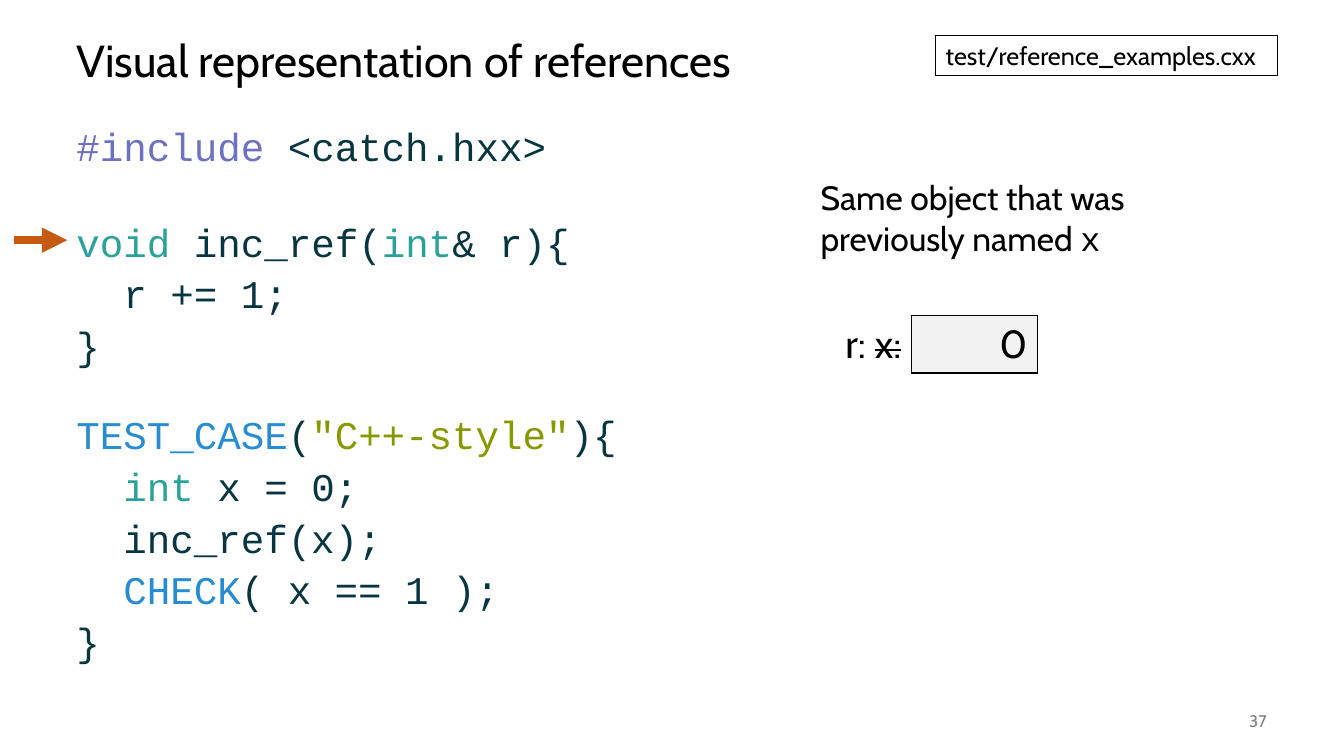
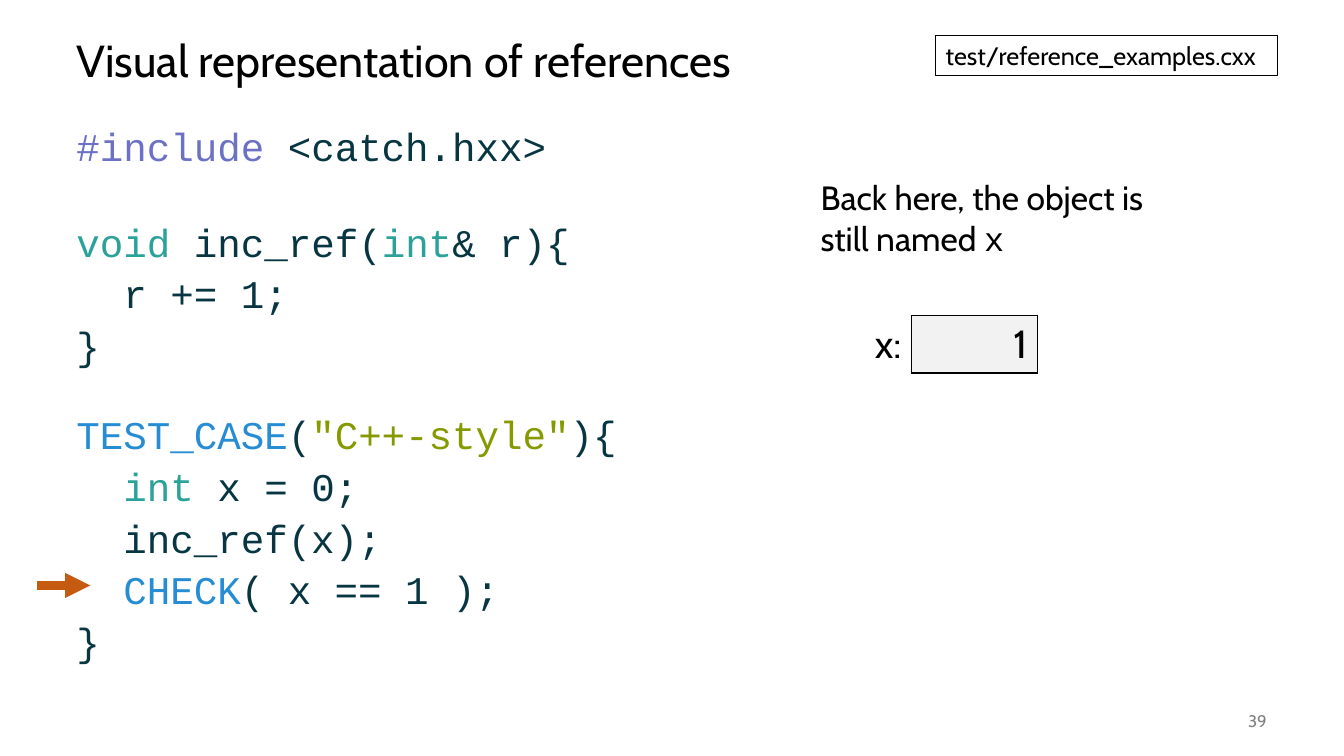
from dataclasses import dataclass

from lxml.etree import SubElement
from pptx import Presentation
from pptx.dml.color import RGBColor
from pptx.enum.shapes import MSO_CONNECTOR, MSO_SHAPE
from pptx.enum.text import MSO_ANCHOR, PP_ALIGN
from pptx.oxml.ns import qn
from pptx.util import Emu, Inches, Pt

COLUMNS, ROWS = 160, 90
BODY_FONT, CODE_FONT = "Cabin", "Courier New"
BLACK, GREY, CELL_GREY, ARROW = "000000", "808080", "F2F2F2", "C55A11"
INK, VIOLET, TEAL, BLUE, GREEN = "073642", "6D71C5", "2AA299", "268CD3", "869A00"


@dataclass(frozen=True)
class Box:
    left: float
    top: float
    width: float
    height: float


@dataclass(frozen=True)
class Span:
    text: str
    color: str = BLACK
    font: str = BODY_FONT
    strike: bool = False


@dataclass(frozen=True)
class Line:
    spans: tuple[Span, ...]
    before: float = 0


@dataclass(frozen=True)
class Step:
    number: int
    note: str
    names: tuple[Span, ...]
    value: str
    arrow_left: float
    arrow_top: float


TITLE = Box(7.92, 3, 144, 9)
CODE = Box(7.92, 15, 69, 66)
NUMBER = Box(140, 83.4, 12, 4.8)
VARIABLE = Box(93.5, 37.6, 30, 6.8)
NOTE = Box(96.5, 20.5, 42.1, 10.9)
FILE_LABEL = Box(111.4, 4.2, 40.7, 4.8)
ARROW_LENGTH = 6.3


def code_line(*parts: tuple[str, str], before: float = 10) -> Line:
    return Line(tuple(Span(text, color, CODE_FONT) for text, color in parts), before)


LISTING = (
    code_line(("#include ", VIOLET), ("<catch.hxx>", INK), before=0),
    code_line(("void ", TEAL), ("inc_ref(", INK), ("int", TEAL), ("& r){", INK), before=41.7),
    code_line(("  r += 1;", INK)),
    code_line(("}", INK)),
    code_line(("TEST_CASE", BLUE), ("(", INK), ('"C++‑style"', GREEN), ("){", INK), before=37),
    code_line(("  int ", TEAL), ("x = 0;", INK)),
    code_line(("  inc_ref(x);", INK)),
    code_line(("  CHECK", BLUE), ("( x == 1 );", INK)),
    code_line(("}", INK)),
)

STEPS = (
    Step(37, "Same object that was previously named ",
         (Span("r: "), Span("x:", strike=True)), "0", 1.7, 28.6),
    Step(39, "Back here, the object is still named ",
         (Span("x:"),), "1", 4.45, 69.7),
)


def rgb(color: str) -> RGBColor:
    return RGBColor.from_string(color)


def grid(cells: float) -> Emu:
    return Emu(round(Inches(40 / 3) / COLUMNS * cells))


def place(box: Box) -> tuple[Emu, ...]:
    return tuple(grid(side) for side in (box.left, box.top, box.width, box.height))


def write(frame, lines: tuple[Line, ...], size: float, align=PP_ALIGN.LEFT,
          spacing: float = 1.0) -> None:
    frame.word_wrap = True
    for index, line in enumerate(lines):
        para = frame.add_paragraph() if index else frame.paragraphs[0]
        para.alignment = align
        para.line_spacing = spacing
        para.space_before = Pt(line.before)
        for part in line.spans:
            span = para.add_run()
            span.text = part.text
            span.font.size = Pt(size)
            span.font.name = part.font
            span.font.color.rgb = rgb(part.color)
            if part.strike:
                span.font.strike = True
                span._r.get_or_add_rPr().set("strike", "sngStrike")


def add_text(page, box: Box, lines: tuple[Line, ...], size: float,
             align=PP_ALIGN.LEFT, spacing: float = 1.0, anchor=MSO_ANCHOR.TOP) -> None:
    frame = page.shapes.add_textbox(*place(box)).text_frame
    frame.vertical_anchor = anchor
    write(frame, lines, size, align, spacing)


def add_file_label(page) -> None:
    label = page.shapes.add_shape(MSO_SHAPE.RECTANGLE, *place(FILE_LABEL))
    label.shadow.inherit = False
    label.fill.background()
    label.line.color.rgb = rgb(BLACK)
    label.line.width = Pt(0.75)
    label.text_frame.vertical_anchor = MSO_ANCHOR.TOP
    write(label.text_frame, (Line((Span("test/reference_examples.cxx"),)),), 18)


def add_border(cell, side: str) -> None:
    properties = cell._tc.get_or_add_tcPr()
    border = SubElement(properties, qn(f"a:ln{side}"), w=str(Pt(1)))
    fill = SubElement(border, qn("a:solidFill"))
    SubElement(fill, qn("a:srgbClr"), val=BLACK)


def add_variable(page, names: tuple[Span, ...], value: str) -> None:
    table = page.shapes.add_table(1, 2, *place(VARIABLE)).table
    table.first_row = False
    table.horz_banding = False
    name_cell, value_cell = table.cell(0, 0), table.cell(0, 1)
    add_border(name_cell, "R")
    for side in "LRTB":
        add_border(value_cell, side)
    name_cell.fill.background()
    value_cell.fill.solid()
    value_cell.fill.fore_color.rgb = rgb(CELL_GREY)
    write(name_cell.text_frame, (Line(names),), 28, PP_ALIGN.RIGHT)
    write(value_cell.text_frame, (Line((Span(value),)),), 28, PP_ALIGN.RIGHT)


def add_arrow(page, left: float, top: float) -> None:
    arrow = page.shapes.add_connector(
        MSO_CONNECTOR.STRAIGHT, grid(left), grid(top), grid(left + ARROW_LENGTH), grid(top))
    arrow.line.color.rgb = rgb(ARROW)
    arrow.line.width = Pt(6)
    SubElement(arrow.line._get_or_add_ln(), qn("a:tailEnd"), type="triangle")
    SubElement(arrow._element.spPr, qn("a:effectLst"))


def add_step(deck, step: Step) -> None:
    page = deck.slides.add_slide(deck.slide_layouts[6])
    add_text(page, TITLE, (Line((Span("Visual representation of references"),)),), 32,
             spacing=0.9, anchor=MSO_ANCHOR.MIDDLE)
    add_text(page, CODE, LISTING, 28, spacing=0.8)
    add_text(page, NUMBER, (Line((Span(str(step.number), GREY),)),), 12,
             PP_ALIGN.RIGHT, anchor=MSO_ANCHOR.MIDDLE)
    add_variable(page, step.names, step.value)
    add_arrow(page, step.arrow_left, step.arrow_top)
    add_text(page, NOTE, (Line((Span(step.note), Span("x", font=CODE_FONT))),), 24)
    add_file_label(page)


def main() -> None:
    deck = Presentation()
    deck.slide_width = grid(COLUMNS)
    deck.slide_height = grid(ROWS)
    for step in STEPS:
        add_step(deck, step)
    deck.save("out.pptx")


if __name__ == "__main__":
    main()
